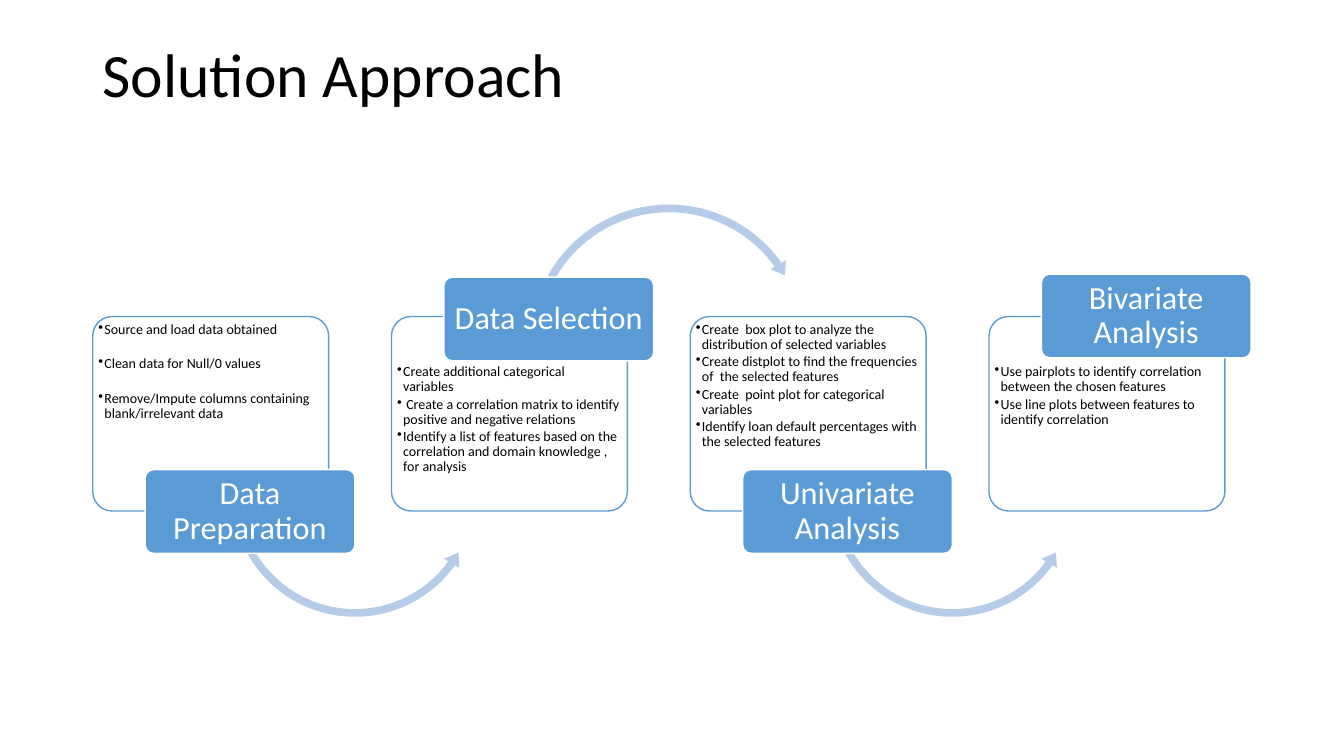
from lxml import etree
from pptx import Presentation
from pptx import util as u
from pptx.dml.color import RGBColor
from pptx.enum import shapes, text
from pptx.oxml.ns import qn

BLUE = RGBColor(0x5B, 0x9B, 0xD5)
PALE_BLUE = RGBColor(0xB5, 0xCB, 0xE7)
WHITE = RGBColor(0xFF, 0xFF, 0xFF)
BLACK = RGBColor(0, 0, 0)

CARD_LEFT, CARD_TOP, CARD_PITCH = 0.92, 3.14, 2.963
CARD_SIZE = (2.34, 1.93)
LABEL_SIZE = (2.08, 0.83)
LABEL_OFFSET, ARROW_OFFSET = 0.52, 1.33
HIGH_TEXT, LOW_TEXT = 0.0, 0.42

# Preset shape, top, size, adjustments
UNDER = (shapes.MSO_SHAPE.LEFT_CIRCULAR_ARROW, 3.63, 2.54,
         (0.03, 3.633, 21.388, 90.245, 0.035))
OVER = (shapes.MSO_SHAPE.CIRCULAR_ARROW, 1.98, 2.84,
        (0.027, 3.226, 194.721, 125.456, 0.031))

# Label, label top, text offset, space after each point, arrow to next step, points
STEPS = [
    ("Data Preparation", 4.66, HIGH_TEXT, 13.8, UNDER, [
        "Source and load data obtained",
        "Clean data for Null/0 values",
        "Remove/Impute columns containing blank/irrelevant data"]),
    ("Data Selection", 2.75, LOW_TEXT, 1.5, OVER, [
        "Create additional categorical   variables",
        " Create a correlation matrix to identify positive and negative relations",
        "Identify a list of features based on the correlation and domain "
        "knowledge , for analysis"]),
    ("Univariate Analysis", 4.66, HIGH_TEXT, 1.5, UNDER, [
        "Create  box plot to analyze the  distribution of selected variables",
        "Create distplot to find the frequencies of  the selected features",
        "Create  point plot for categorical variables",
        "Identify loan default percentages with the selected features"]),
    ("Bivariate Analysis", 2.72, LOW_TEXT, 1.5, None, [
        "Use pairplots to identify correlation between the chosen features",
        "Use line plots between features to identify correlation"]),
]


class ProcessSlide:
    def __init__(self, s, font="Calibri"):
        self.s = s
        self.font = font

    def style(self, p, size, color):
        p.line_spacing = 0.9
        for r in p.runs:
            r.font.name = self.font
            r.font.size = u.Pt(size)
            r.font.color.rgb = color

    def frame(self, sp, anchor, left, top, right, bottom):
        """Set wrapping, anchor and insets of a shape's text frame."""
        tf = sp.text_frame
        tf.word_wrap = True
        tf.vertical_anchor = anchor
        tf.margin_left, tf.margin_top = u.Inches(left), u.Inches(top)
        tf.margin_right, tf.margin_bottom = u.Inches(right), u.Inches(bottom)
        return tf

    def shape(self, preset, x, y, size, adjustments, fill, line=None):
        sp = self.s.shapes.add_shape(
            preset, u.Inches(x), u.Inches(y), *map(u.Inches, size))
        for i, value in enumerate(adjustments):
            sp.adjustments[i] = value
        sp.shadow.inherit = False
        sp.fill.solid()
        sp.fill.fore_color.rgb = fill
        if line is None:
            sp.line.fill.background()
        else:
            sp.line.color.rgb = line
            sp.line.width = u.Pt(1)
        return sp

    def title(self, words):
        sp = self.s.shapes.add_textbox(
            u.Inches(0.92), u.Inches(0.38), u.Inches(11.5), u.Inches(0.78))
        tf = self.frame(sp, text.MSO_ANCHOR.MIDDLE, 0.1, 0.05, 0.1, 0.05)
        tf.text = words
        self.style(tf.paragraphs[0], 44, BLACK)

    def card(self, x, points, text_offset, gap):
        sp = self.shape(shapes.MSO_SHAPE.ROUNDED_RECTANGLE, x, CARD_TOP,
                        CARD_SIZE, [0.1], WHITE, BLUE)
        tf = self.frame(sp, text.MSO_ANCHOR.TOP, 0, text_offset, 0, 0)
        tf.text = "\n".join(points)
        for p in tf.paragraphs:
            p.alignment = text.PP_ALIGN.LEFT
            self.style(p, 10, BLACK)
            p.space_after = u.Pt(gap)
            self.bullet(p)

    def bullet(self, p):
        pPr = p._p.get_or_add_pPr()
        indent = u.Inches(0.06)
        pPr.set("marL", str(indent))
        pPr.set("indent", str(-indent))
        etree.SubElement(pPr, qn("a:buChar")).set("char", "•")

    def label(self, x, y, words):
        sp = self.shape(shapes.MSO_SHAPE.ROUNDED_RECTANGLE, x, y,
                        LABEL_SIZE, [0.1], BLUE, WHITE)
        tf = self.frame(sp, text.MSO_ANCHOR.MIDDLE, 0.05, 0.03, 0.05, 0.03)
        tf.text = words
        p = tf.paragraphs[0]
        p.alignment = text.PP_ALIGN.CENTER
        self.style(p, 23, WHITE)

    def arrow(self, x, preset, y, size, adjustments):
        self.shape(preset, x, y, (size, size), adjustments, PALE_BLUE)


def main():
    prs = Presentation()
    prs.slide_width, prs.slide_height = u.Inches(13.33), u.Inches(7.5)
    slide = ProcessSlide(prs.slides.add_slide(prs.slide_layouts[6]))
    slide.title("Solution Approach")
    for i, (name, label_top, text_offset, gap, arrow, points) in enumerate(STEPS):
        x = CARD_LEFT + i * CARD_PITCH
        slide.card(x, points, text_offset, gap)
        if arrow:
            slide.arrow(x + ARROW_OFFSET, *arrow)
        slide.label(x + LABEL_OFFSET, label_top, name)
    prs.save("out.pptx")


if __name__ == "__main__":
    main()
